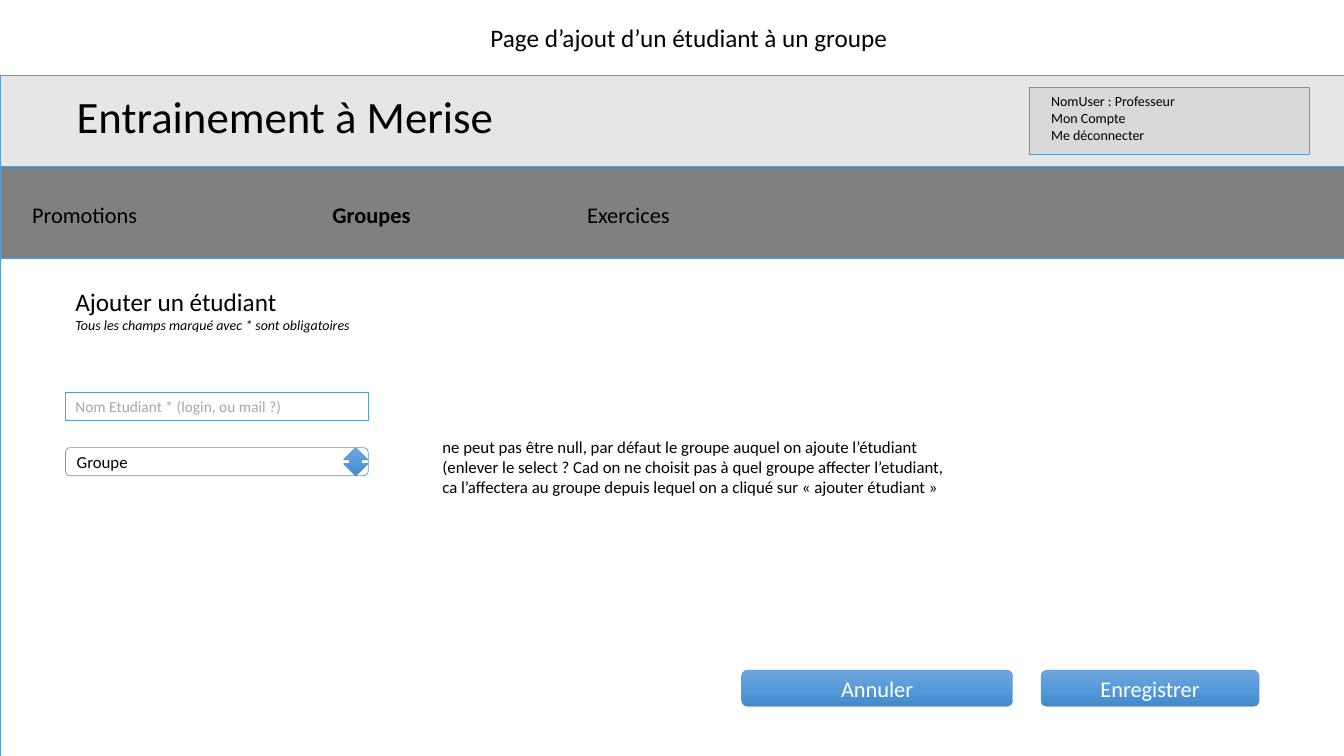
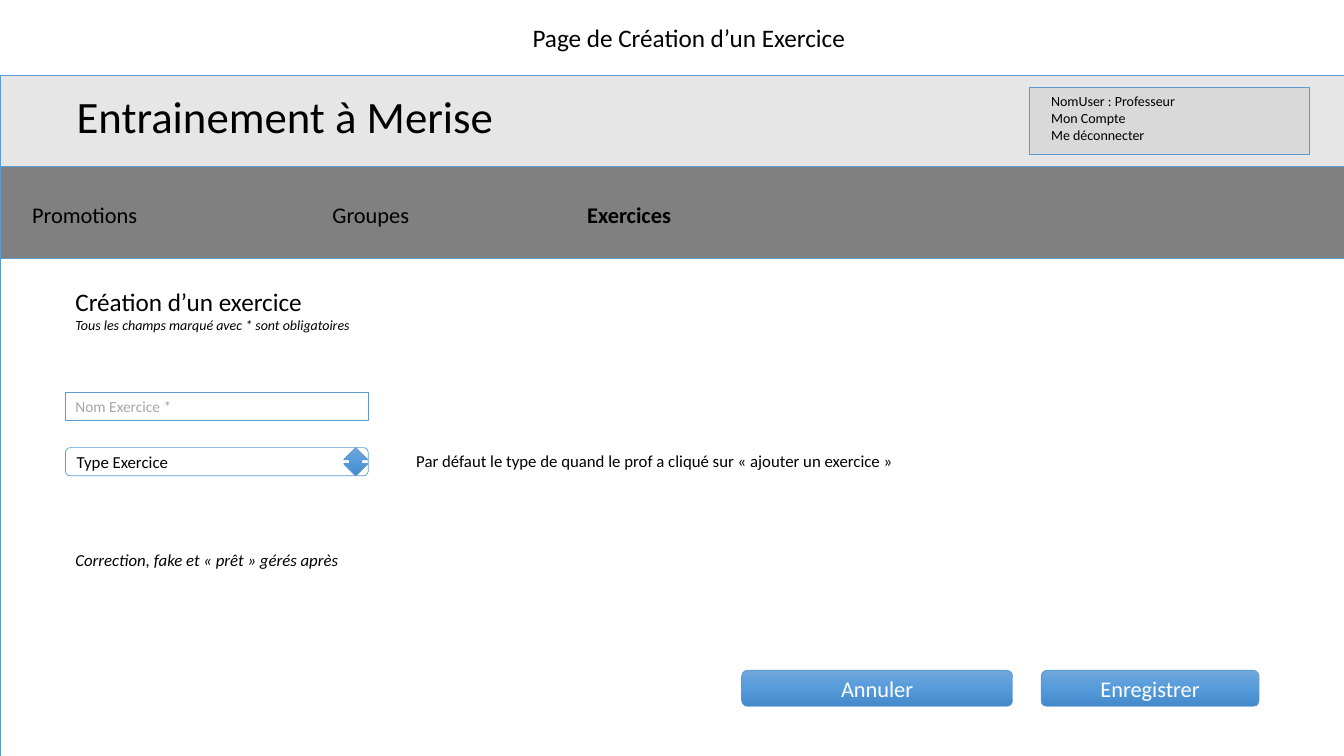
"""Build two wireframe pages of a training site: adding a student and creating an exercise."""
from copy import deepcopy
from dataclasses import dataclass, field
from typing import Any, Optional

from pptx import Presentation
from pptx.dml import color
from pptx.enum import shapes, text
from pptx.oxml import ns
from pptx import util as u

FONT = "Calibri"
BLACK, WHITE, HINT = "000000", "FFFFFF", "A6A6A6"
BLUE, BANNER, MENU, PANEL = "5B9BD5", "E7E6E6", "808080", "D9D9D9"
GLOSS = ((0, "71A6DB"), (0.5, "559BDB"), (1, "448ACA"))
PAGE_W, PAGE_H = 33.87, 19.05
LEFT, SELECT_TOP, FIELD_W, FIELD_H = 1.65, 11.28, 7.63, 0.71
MENU_TOP, BODY_TOP = 4.19, 6.5
RECT = shapes.MSO_SHAPE.RECTANGLE
ROUNDED = shapes.MSO_SHAPE.ROUNDED_RECTANGLE
CENTER, START = text.PP_ALIGN.CENTER, text.PP_ALIGN.LEFT


@dataclass(frozen=True)
class Area:
    left: float
    top: float
    width: float
    height: float


@dataclass(frozen=True)
class Line:
    words: str
    size: float
    ink: str = BLACK
    style: dict[str, Any] = field(default_factory=dict)


@dataclass(frozen=True)
class Block:
    area: Area
    lines: tuple[Line, ...]
    wrap: bool = True


@dataclass(frozen=True)
class Button:
    label: str
    left: float
    width: float


@dataclass(frozen=True)
class Tab:
    label: str
    left: float
    width: float


@dataclass(frozen=True)
class Screen:
    title: str
    active_tab: str
    heading: str
    hint: str
    choice: str
    notes: tuple[Block, ...]


TABS = (Tab("Promotions", 0.56, 7.54), Tab("Groupes", 8.13, 6.2), Tab("Exercices", 14.55, 7.54))
BUTTONS = (Button("Annuler", 18.69, 6.83), Button("Enregistrer", 26.24, 5.49))
ACCOUNT = ("NomUser : Professeur", "Mon Compte", "Me déconnecter")
ITALIC = {"italic": True}

SCREENS = (
    Screen(
        "Page d’ajout d’un étudiant à un groupe", "Groupes", "Ajouter un étudiant",
        "Nom Etudiant * (login, ou mail ?)", "Groupe",
        (Block(Area(10.9, 10.87, 13.34, 1.8), (Line(
            "ne peut pas être null, par défaut le groupe auquel on ajoute l’étudiant\n"
            "(enlever le select ? Cad on ne choisit pas à quel groupe affecter l’etudiant, \n"
            "ca l’affectera au groupe depuis lequel on a cliqué sur «\u00a0ajouter étudiant\u00a0»",
            12),), wrap=False),),
    ),
    Screen(
        "Page de Création d’un Exercice", "Exercices", "Création d’un exercice",
        "Nom Exercice *", "Type Exercice",
        (Block(Area(10.24, 11.23, 12.8, 0.76), (Line(
            "Par défaut le type de quand le prof a cliqué sur «\u00a0ajouter un exercice\u00a0»",
            12),), wrap=False),
         Block(Area(LEFT, 13.72, 7.32, 0.76), (Line(
             "Correction, fake et «\u00a0prêt\u00a0» gérés après", 12, style=ITALIC),),
             wrap=False)),
    ),
)


def rgb(value: str) -> color.RGBColor:
    """Turn a hex string into a colour."""
    return color.RGBColor.from_string(value)


def place(area: Area) -> tuple[u.Length, ...]:
    """Give the four lengths of an area."""
    return tuple(u.Cm(n) for n in (area.left, area.top, area.width, area.height))


def write(box: Any, lines: tuple[Line, ...], align: Any = START) -> None:
    """Fill a box with one formatted paragraph per line."""
    frame = box.text_frame
    for index, line in enumerate(lines):
        para = frame.add_paragraph() if index else frame.paragraphs[0]
        para.text, para.alignment = line.words, align
        values = {"name": FONT, "size": u.Pt(line.size), "bold": False} | line.style
        for span in para.runs:
            for name, value in values.items():
                setattr(span.font, name, value)
            span.font.color.rgb = rgb(line.ink)
        for gap in para._p.findall(ns.qn("a:br")):
            gap.append(deepcopy(para.runs[0]._r.rPr))


def fit(box: Any, wrap: bool = True) -> None:
    """Make a box grow with its text from the top."""
    values = {"word_wrap": wrap, "auto_size": text.MSO_AUTO_SIZE.SHAPE_TO_FIT_TEXT,
              "vertical_anchor": text.MSO_ANCHOR.TOP}
    for name, value in values.items():
        setattr(box.text_frame, name, value)


def add_text(page: Any, block: Block) -> None:
    """Draw a text block."""
    box = page.shapes.add_textbox(*place(block.area))
    fit(box, block.wrap)
    write(box, block.lines)


def add_box(page: Any, kind: Any, area: Area, fill: Optional[str] = None) -> Any:
    """Draw a thinly outlined shape, flat or unfilled."""
    box = page.shapes.add_shape(kind, *place(area))
    box.shadow.inherit = False
    box.line.color.rgb = rgb(BLUE)
    box.line.width = u.Pt(0.5)
    box.text_frame.vertical_anchor = text.MSO_ANCHOR.MIDDLE
    if fill:
        box.fill.solid()
        box.fill.fore_color.rgb = rgb(fill)
    else:
        box.fill.background()
    return box


def add_glossy(page: Any, kind: Any, area: Area) -> Any:
    """Draw a shape with the glossy blue gradient."""
    box = add_box(page, kind, area)
    box.fill.gradient()
    box.fill.gradient_angle = 270
    stops = box._element.spPr.find(".//" + ns.qn("a:gsLst"))
    stops.insert(1, deepcopy(stops[0]))
    for stop, (position, shade) in zip(box.fill.gradient_stops, GLOSS):
        stop.color.rgb = rgb(shade)
        stop.position = position
    return box


def add_frame(page: Any, screen: Screen) -> None:
    """Draw the title, banner, menu, body and buttons."""
    title = page.shapes.title
    title.left, title.top, title.width, title.height = place(Area(6.5, 0.43, 21.72, 1.02))
    fit(title)
    write(title, (Line(screen.title, 18),), CENTER)

    add_box(page, RECT, Area(0, MENU_TOP, PAGE_W, BODY_TOP - MENU_TOP), MENU)
    add_box(page, RECT, Area(0, 1.9, PAGE_W, MENU_TOP - 1.9), BANNER)
    add_text(page, Block(Area(1.68, 2.11, 14.96, 1.63), (Line("Entrainement à Merise", 32),)))
    add_box(page, RECT, Area(25.93, 2.21, 7.06, 1.68), PANEL)
    add_text(page, Block(Area(26.24, 2.21, 5.79, 1.55), tuple(Line(item, 10) for item in ACCOUNT)))
    for tab in TABS:
        label = Line(tab.label, 16, style={"bold": tab.label == screen.active_tab})
        add_text(page, Block(Area(tab.left, 4.95, tab.width, 0.94), (label,)))
    add_box(page, RECT, Area(0, BODY_TOP, PAGE_W, PAGE_H - BODY_TOP))
    for button in BUTTONS:
        box = add_glossy(page, ROUNDED, Area(button.left, 16.89, button.width, 0.91))
        write(box, (Line(button.label, 16, WHITE),), CENTER)


def add_form(page: Any, screen: Screen) -> None:
    """Draw the heading, the two fields and the notes."""
    add_text(page, Block(Area(LEFT, 7.09, 11.61, 1.5), (
        Line(screen.heading, 18),
        Line("Tous les champs marqué avec * sont obligatoires", 10, style=ITALIC))))
    name_field = add_box(page, RECT, Area(LEFT, 9.88, FIELD_W, FIELD_H), WHITE)
    write(name_field, (Line(screen.hint, 11, HINT),))
    select = add_box(page, ROUNDED, Area(LEFT, SELECT_TOP, FIELD_W, FIELD_H), WHITE)
    write(select, (Line(screen.choice, 12),))
    add_glossy(page, shapes.MSO_SHAPE.UP_DOWN_ARROW, Area(8.66, SELECT_TOP, 0.61, FIELD_H))
    for note in screen.notes:
        add_text(page, note)


def main() -> None:
    """Build and save the deck."""
    deck = Presentation()
    deck.slide_width, deck.slide_height = u.Cm(PAGE_W), u.Cm(PAGE_H)
    title_only = deck.slide_layouts.get_by_name("Title Only")
    for screen in SCREENS:
        page = deck.slides.add_slide(title_only)
        add_frame(page, screen)
        add_form(page, screen)
    deck.save("out.pptx")


main()
